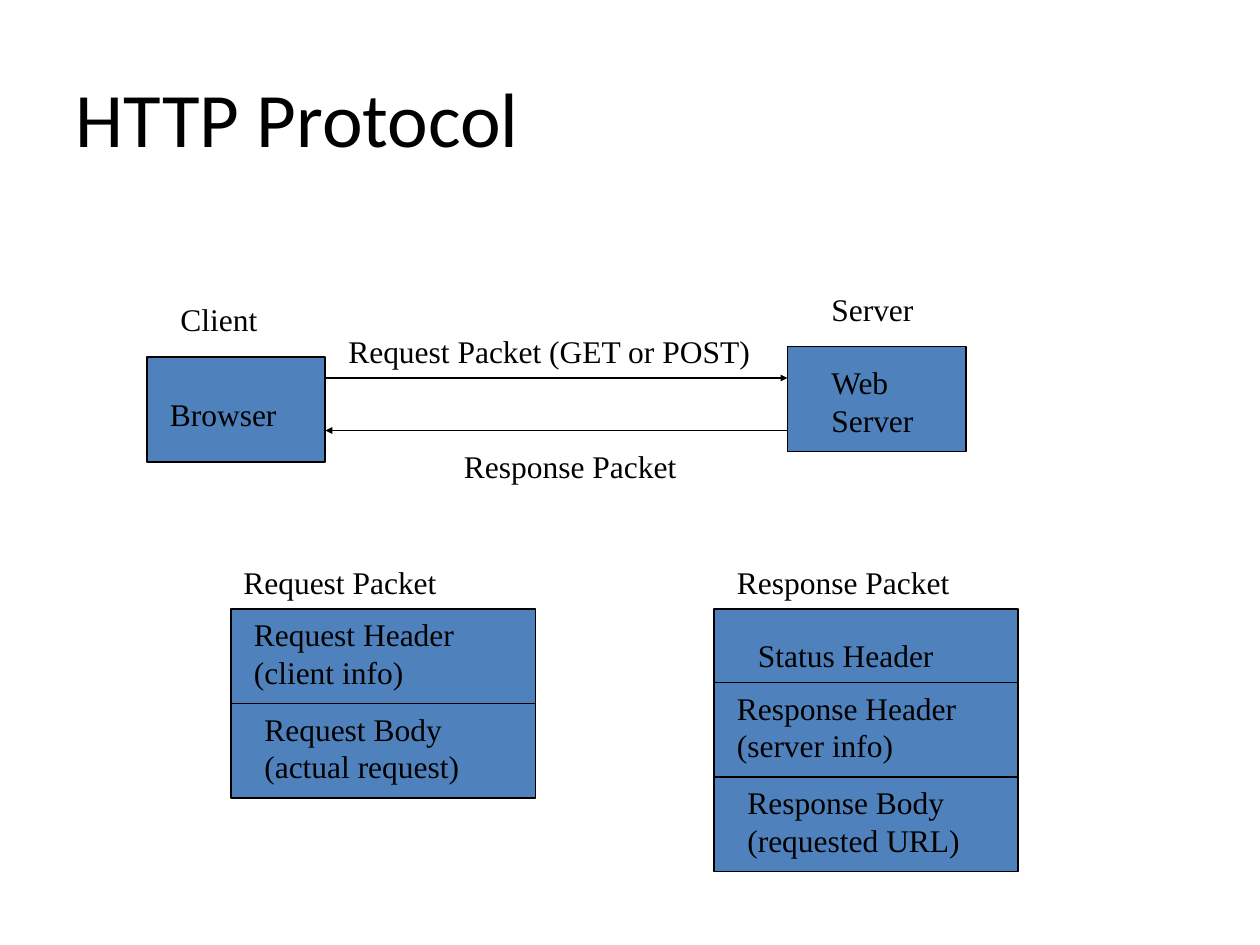
from lxml import etree
from pptx import Presentation
from pptx.dml.color import RGBColor
from pptx.enum.shapes import MSO_CONNECTOR, MSO_SHAPE
from pptx.enum.text import MSO_ANCHOR, MSO_AUTO_SIZE, PP_ALIGN
from pptx.oxml.ns import qn
from pptx.util import Pt

PX = 7620  # 120 px to the inch
BLACK = RGBColor(0, 0, 0)
BLUE = RGBColor(0x4F, 0x81, 0xBD)
RECTANGLE = MSO_SHAPE.RECTANGLE
STRAIGHT = MSO_CONNECTOR.STRAIGHT
LEFT, MIDDLE = PP_ALIGN.LEFT, MSO_ANCHOR.MIDDLE
FIT_SHAPE = MSO_AUTO_SIZE.SHAPE_TO_FIT_TEXT
TITLE_FORMAT = {"name": "Calibri", "size": Pt(44)}
LABEL_FORMAT = {"name": "Times New Roman", "size": Pt(18)}


def format_text(text_frame, font_format):
    for paragraph in text_frame.paragraphs:
        paragraph.alignment = LEFT
        paragraph.font.color.rgb = BLACK
        for name, value in font_format.items():
            setattr(paragraph.font, name, value)


def add_line(start_x, start_y, end_x, end_y, arrow=False):
    connector = slide.shapes.add_connector(
        STRAIGHT, start_x * PX, start_y * PX, end_x * PX, end_y * PX)
    connector.line.color.rgb = BLACK
    connector.line.width = Pt(1)
    if arrow:
        line = connector.line._get_or_add_ln()
        etree.SubElement(line, qn("a:tailEnd"), type="triangle", w="sm", len="sm")
    etree.SubElement(connector._element.spPr, qn("a:effectLst"))


presentation = Presentation()
presentation.slide_width = 1200 * PX
presentation.slide_height = 900 * PX
slide = presentation.slides.add_slide(presentation.slide_layouts[5])

title = slide.shapes.title
title.left, title.top, title.width, title.height = (
    value * PX for value in (60, 36, 1080, 150))
title.text_frame.text = "HTTP Protocol"
title.text_frame.vertical_anchor = MIDDLE
format_text(title.text_frame, TITLE_FORMAT)

# Browser, web server, request packet, response packet
boxes = [
    (140, 340, 170, 100),
    (750, 330, 170, 100),
    (220, 580, 290, 180),
    (680, 580, 290, 250),
]
for box in boxes:
    shape = slide.shapes.add_shape(RECTANGLE, *(value * PX for value in box))
    shape.shadow.inherit = False
    shape.fill.solid()
    shape.fill.fore_color.rgb = BLUE
    shape.line.color.rgb = BLACK
    shape.line.width = Pt(1)

add_line(310, 360, 750, 360, arrow=True)
add_line(750, 410, 310, 410, arrow=True)
for left, right, y in [(220, 510, 670), (680, 970, 650), (680, 970, 740)]:
    add_line(left, y, right, y)

# Text, left, top, width
labels = [
    ("Client", 160, 280, 110),
    ("Server", 780, 270, 108),
    ("Request Packet (GET or POST)", 320, 310, 410),
    ("Response Packet", 430, 420, 232),
    ("Request Packet", 220, 530, 214),
    ("Request Header\n(client info)", 230, 580, 220),
    ("Request Body\n(actual request)", 240, 670, 250),
    ("Response Packet", 690, 530, 232),
    ("Response Header\n(server info)", 690, 650, 238),
    ("Response Body\n(requested URL)", 700, 740, 250),
    ("Status Header", 710, 600, 198),
    ("Browser", 150, 370, 132),
    ("Web\nServer", 780, 340, 108),
]
for text, left, top, width in labels:
    height = 84 if "\n" in text else 48
    label = slide.shapes.add_textbox(left * PX, top * PX, width * PX, height * PX)
    label.text_frame.text = text
    label.text_frame.word_wrap = True
    label.text_frame.auto_size = FIT_SHAPE
    format_text(label.text_frame, LABEL_FORMAT)

presentation.save("out.pptx")
